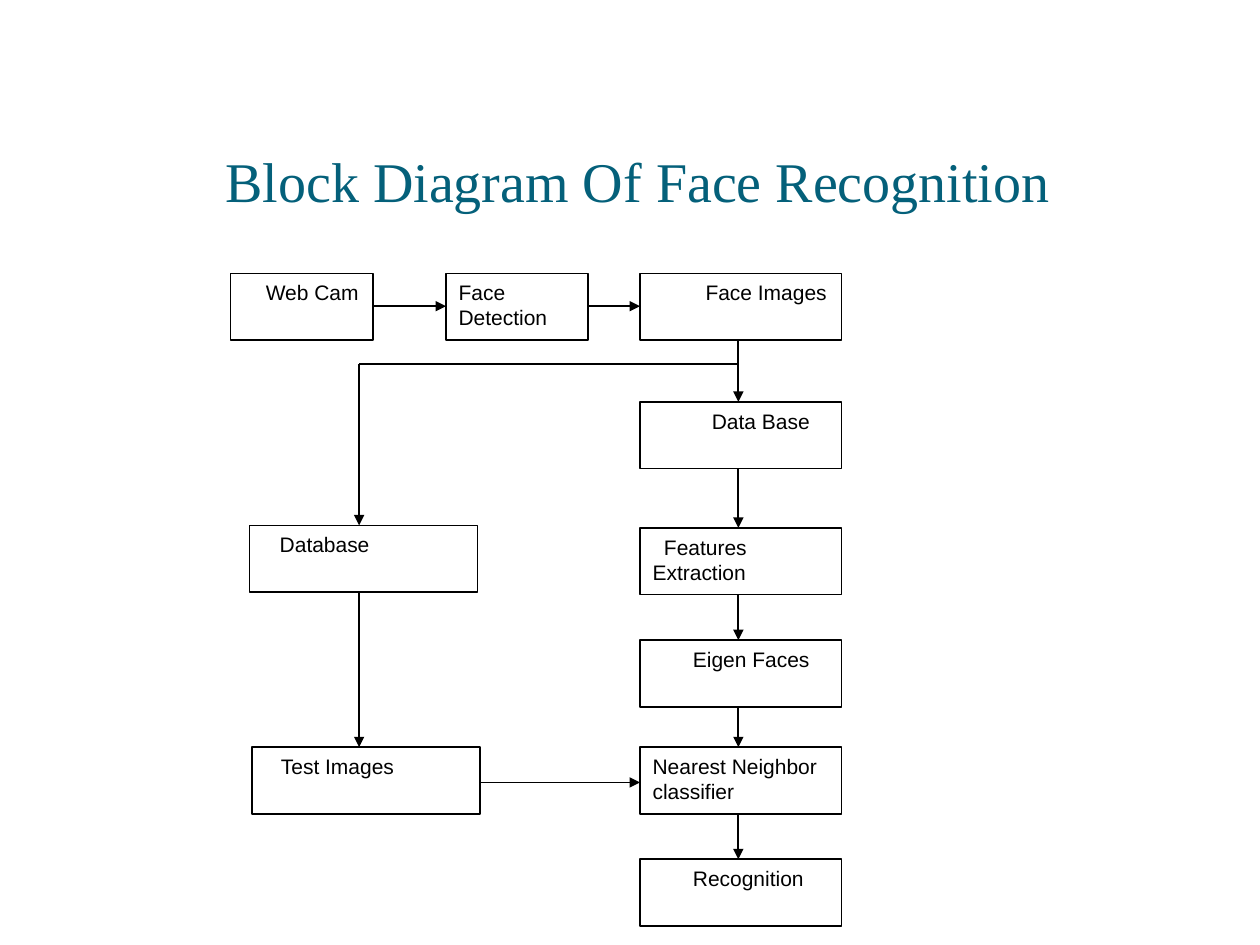
from lxml import etree
from pptx import Presentation
from pptx.dml.color import RGBColor
from pptx.enum.shapes import MSO_CONNECTOR, MSO_SHAPE
from pptx.enum.text import MSO_ANCHOR, PP_ALIGN
from pptx.oxml.ns import qn
from pptx.util import Pt

RECT = MSO_SHAPE.RECTANGLE
LINE = MSO_CONNECTOR.STRAIGHT
TOP = MSO_ANCHOR.TOP
LEFT = PP_ALIGN.LEFT

PX = 9144  # EMU per px, 100 px to the inch


def paint(color):
    return RGBColor.from_string(color)


def write(frame, rows, font="Arial", size=12, color="000000", inset=5):
    """Fill a frame with rows of (left indent, text)."""
    frame.word_wrap = True
    frame.vertical_anchor = TOP
    frame.margin_left = frame.margin_right = frame.margin_bottom = 0
    frame.margin_top = inset * PX
    for i, (indent, text) in enumerate(rows):
        para = frame.paragraphs[0] if i == 0 else frame.add_paragraph()
        para.alignment = LEFT
        para._p.get_or_add_pPr().set("marL", str(indent * PX))
        run = para.add_run()
        run.text = text
        run.font.name = font
        run.font.size = Pt(size)
        run.font.color.rgb = paint(color)


class Chart:
    ink = "000000"
    paper = "FFFFFF"
    tall = 53

    def __init__(self, slide):
        self.slide = slide

    def title(self, x, y, w, h, indent, text):
        box = self.slide.shapes.add_textbox(x * PX, y * PX, w * PX, h * PX)
        write(box.text_frame, [(indent, text)], font="Times New Roman",
              size=32, color="04607A", inset=22)

    def box(self, x, y, w, *rows):
        shape = self.slide.shapes.add_shape(
            RECT, x * PX, y * PX, w * PX, self.tall * PX)
        shape.shadow.inherit = False
        shape.fill.solid()
        shape.fill.fore_color.rgb = paint(self.paper)
        shape.line.color.rgb = paint(self.ink)
        shape.line.width = Pt(1)
        write(shape.text_frame, rows, color=self.ink)

    def line(self, x1, y1, x2, y2, head=True):
        link = self.slide.shapes.add_connector(
            LINE, x1 * PX, y1 * PX, x2 * PX, y2 * PX)
        link.line.color.rgb = paint(self.ink)
        link.line.width = Pt(1)
        if head:
            etree.SubElement(link.line._get_or_add_ln(), qn("a:tailEnd"),
                             type="triangle")
        etree.SubElement(link._element.spPr, qn("a:effectLst"))


def main():
    deck = Presentation()
    deck.slide_width, deck.slide_height = 1000 * PX, 750 * PX
    chart = Chart(deck.slides.add_slide(deck.slide_layouts[6]))
    tall = chart.tall

    chart.title(118, 94, 763, 108, 61, "Block Diagram Of Face Recognition")

    # Top row, left to right
    row, mid = 217, 243
    chart.box(183, row, 113, (28, "Web Cam"))
    chart.box(354, row, 113, (10, "Face"), (10, "Detection"))
    for start, end in ((296, 354), (467, 508)):
        chart.line(start, mid, end, mid)

    # Right column, top to bottom
    steps = [
        (row, [(52, "Face Images")]),
        (319, [(57, "Data Base")]),
        (419, [(19, "Features"), (10, "Extraction")]),
        (508, [(42, "Eigen Faces")]),
        (593, [(10, "Nearest Neighbor classifier")]),
        (682, [(42, "Recognition")]),
    ]
    main_x = 586
    for y, rows in steps:
        chart.box(508, y, 160, *rows)
    for (y, _), (below, _) in zip(steps, steps[1:]):
        chart.line(main_x, y + tall, main_x, below)

    # Left branch
    side_x, fork, store, test = 285, 289, 417, 593
    chart.box(198, store, 181, (24, "Database"))
    chart.box(200, test, 181, (23, "Test Images"))
    chart.line(main_x, fork, side_x, fork, head=False)
    chart.line(side_x, fork, side_x, store)
    chart.line(side_x, store + tall, side_x, test)
    chart.line(381, 621, 508, 621)

    deck.save("out.pptx")


if __name__ == "__main__":
    main()
